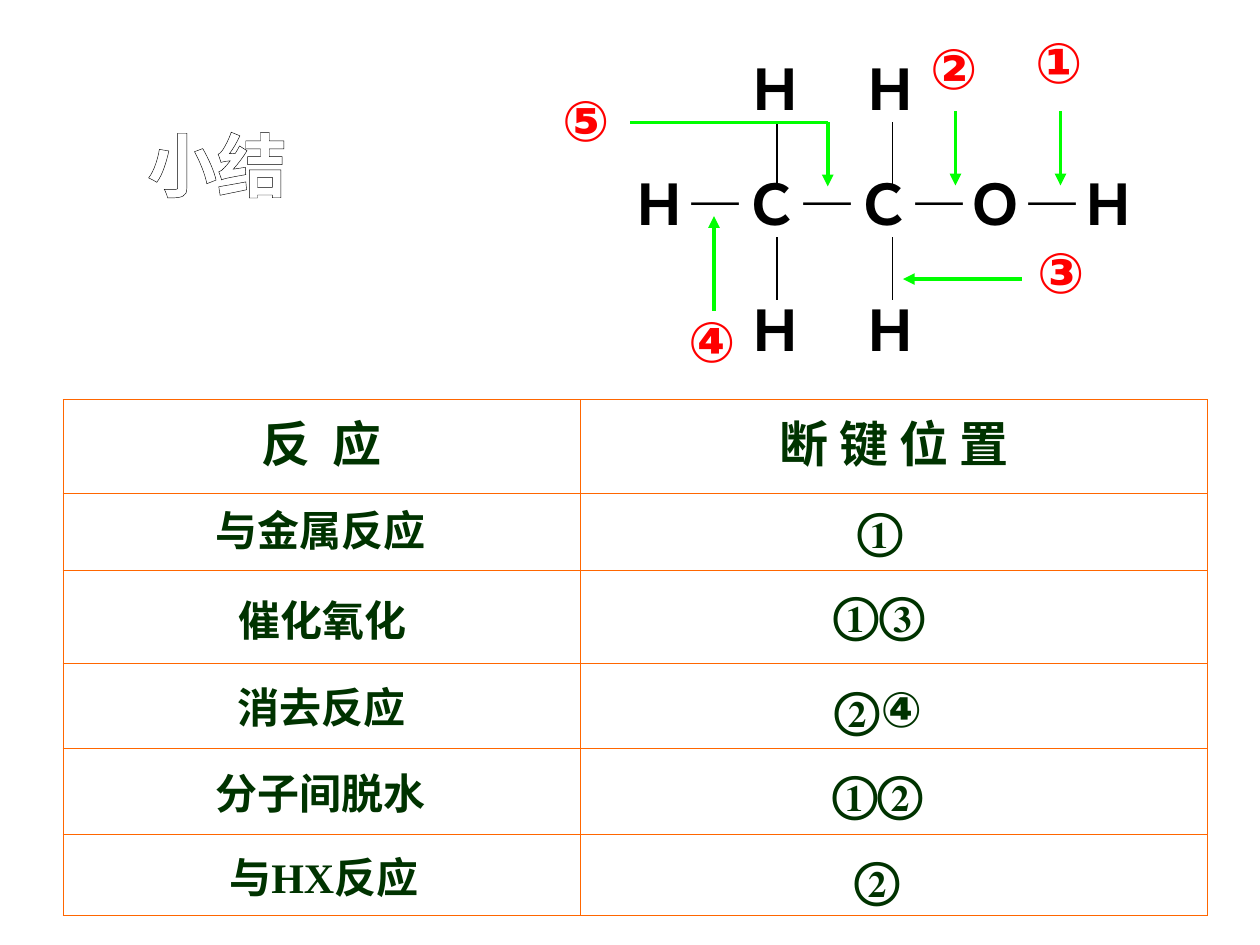
"""Build a summary slide on the bonds of ethanol and where each reaction breaks them."""
import pptx
import pptx.util
import pptx.dml.color
import pptx.enum.shapes
import pptx.enum.text
import pptx.oxml
import pptx.oxml.ns

Pt = pptx.util.Pt
qn = pptx.oxml.ns.qn
Sub = pptx.oxml.xmlchemy.OxmlElement
Align = pptx.enum.text.PP_ALIGN
Anchor = pptx.enum.text.MSO_ANCHOR
Fit = pptx.enum.text.MSO_AUTO_SIZE
NOTO, ARIAL, TIMES = "Noto Sans CJK SC", "Arial", "Times New Roman"
hues = {"black": "000000", "red": "FF0000", "lime": "00FF00",
        "green": "003300", "orange": "FF6600", "white": "FFFFFF"}


def write(para, text, face, size, hue):
    """Add one bold run in the given face, size and colour."""
    run = para.add_run()
    run.text = text
    for key, val in {"name": face, "size": Pt(size), "bold": True}.items():
        setattr(run.font, key, val)
    run.font.color.rgb = pptx.dml.color.RGBColor.from_string(hues[hue])
    east = Sub("a:ea")
    east.set("typeface", NOTO if "―" in text else face)
    run.font._element.find(qn("a:latin")).addnext(east)
    return run


def label(left, top, wide, high, runs, size, hue, wrap=False):
    """Add a text box made of (text, face) runs."""
    box = slide.shapes.add_textbox(Pt(left), Pt(top), Pt(wide), Pt(high))
    box.text_frame.word_wrap = wrap
    box.text_frame.auto_size = Fit.SHAPE_TO_FIT_TEXT
    for text, face in runs:
        write(box.text_frame.paragraphs[0], text, face, size, hue)


deck = pptx.Presentation()
deck.slide_width, deck.slide_height = Pt(720), Pt(540)
slide = deck.slides.add_slide(deck.slide_layouts[5])

title = slide.shapes.title
place = {"left": 30, "top": 66, "width": 188, "height": 83}
for key, val in place.items():
    setattr(title, key, Pt(val))
frame = title.text_frame
form = {"word_wrap": False, "vertical_anchor": Anchor.TOP,
        "auto_size": Fit.NONE}
for key, val in form.items():
    setattr(frame, key, val)
frame.paragraphs[0].alignment = Align.CENTER
run = write(frame.paragraphs[0], "小结", NOTO, 40, "white")
edge = Sub("a:ln")
edge.set("w", str(Pt(0.75)))
fill = Sub("a:solidFill")
tint = Sub("a:srgbClr")
tint.set("val", hues["black"])
fill.append(tint)
edge.append(fill)
run.font._element.insert(0, edge)

marks = [("①", 584.5, 12), ("②", 524.5, 15.5), ("③", 586, 132),
         ("④", 386.5, 171.5), ("⑤", 314.5, 45.5)]
for text, left, top in marks:
    label(left, top, 41, 46, [(text, ARIAL)], 32, "red")

label(354, 93.5, 312, 46, [("Ｈ―Ｃ―Ｃ―Ｏ―Ｈ", ARIAL)], 32, "black", True)
for left in (420, 486):
    for top in (27.5, 165.5):
        label(left, top, 47, 46, [("Ｈ", ARIAL)], 32, "black", True)

bonds = [(x, y, x, y + 36, "black", 1, False)
         for x in (444, 510) for y in (70, 135.5)]
hints = [(360, 70, 473, 70, "lime", 2.25, False),
         (473, 70, 473, 106.5, "lime", 2.25, True),
         (546, 63.5, 546, 106, "lime", 2.25, True),
         (606, 63.5, 606, 106, "lime", 2.25, True),
         (584, 159.5, 516, 159.5, "lime", 2.25, True),
         (408, 177.5, 408, 123.5, "lime", 2.25, True)]
for *ends, hue, thick, tip in bonds + hints:
    line = slide.shapes.add_connector(
        pptx.enum.shapes.MSO_CONNECTOR.STRAIGHT, *map(Pt, ends))
    line.line.width = Pt(thick)
    line.line.color.rgb = pptx.dml.color.RGBColor.from_string(hues[hue])
    if tip:
        head = Sub("a:tailEnd")
        head.set("type", "triangle")
        line.line._get_or_add_ln().append(head)
    line._element.spPr.append(Sub("a:effectLst"))

cols = (295.5, 358.5)
rows = (53.5, 44, 53.5, 48.5, 49, 46.5)
grid = slide.shapes.add_table(len(rows), len(cols), Pt(36), Pt(228.25),
                              Pt(sum(cols)), Pt(sum(rows))).table
grid.first_row = grid.horz_banding = False
for col, wide in zip(grid.columns, cols):
    col.width = Pt(wide)
for row, high in zip(grid.rows, rows):
    row.height = Pt(high)
for cell in grid.iter_cells():
    cell.fill.background()
    prop = cell._tc.get_or_add_tcPr()
    for spot, side in enumerate(("a:lnL", "a:lnR", "a:lnT", "a:lnB")):
        edge = Sub(side)
        edge.set("w", str(Pt(0.45)))
        fill = Sub("a:solidFill")
        tint = Sub("a:srgbClr")
        tint.set("val", hues["orange"])
        fill.append(tint)
        edge.append(fill)
        prop.insert(spot, edge)

heads = [("反", " ", "应"), ("断 键 位 置",)]
for cell, parts in zip(grid.rows[0].cells, heads):
    para = cell.text_frame.paragraphs[0]
    para.alignment = Align.CENTER
    for part in parts:
        run = write(para, part, NOTO, 28, "green")
        if part == " ":
            run.font._element.set("spc", "640")

facts = [
    (116, 285, 142, [("与金属反应", ARIAL)], 483, 282, 42, [("①", TIMES)]),
    (129.5, 336, 130, [("催化氧化", ARIAL)], 469.5, 330, 72, [("①③", TIMES)]),
    (128.5, 386, 221, [("消去反应", ARIAL)],
     470, 384, 72, [("②", TIMES), ("④", ARIAL)]),
    (116, 435, 193, [("分子间脱水", ARIAL)], 468.5, 432, 72, [("①②", TIMES)]),
    (124, 483, 138, [("与", NOTO), ("HX", TIMES), ("反应", NOTO)],
     481.5, 481.5, 42, [("②", TIMES)]),
]
for left, top, wide, name, x, y, span, sites in facts:
    label(left, top, wide, 36, name, 24, "green", True)
    label(x, y, span, 41, sites, 28, "green", True)

deck.save("out.pptx")
